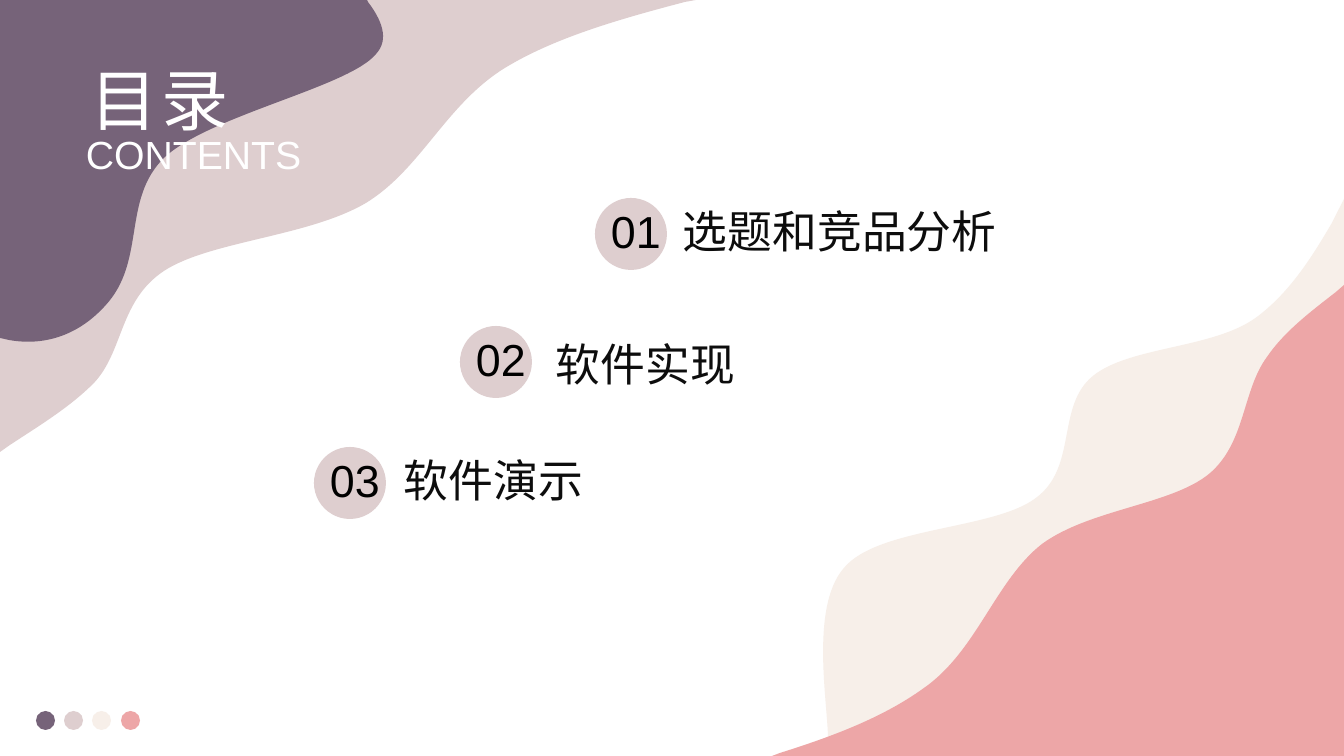
from lxml import etree
from pptx import Presentation
from pptx.dml.color import RGBColor
from pptx.enum.shapes import MSO_SHAPE
from pptx.enum.text import MSO_AUTO_SIZE, PP_ALIGN
from pptx.oxml.ns import qn
from pptx.util import Pt

OVAL = MSO_SHAPE.OVAL
GROW = MSO_AUTO_SIZE.SHAPE_TO_FIT_TEXT
JUSTIFY = PP_ALIGN.JUSTIFY
PX = 914400 / 100.8

HUES = {
    "plum": "766379",
    "mauve": "DECECF",
    "cream": "F7EFE9",
    "rose": "EDA6A7",
    "white": "FFFFFF",
    "ink": "0D0D0D",
    "black": "000000",
}

WAVES = [
    ("mauve", [
        (0, 0), (696, 0), (685, 2),
        (620, 19, 558, 37, 510, 65),
        (447, 101, 423, 168, 366, 203),
        (308, 237, 210, 241, 164, 271),
        (119, 301, 124, 351, 94, 383),
        (70, 407, 42, 424, 10, 445),
        (0, 452),
    ]),
    ("plum", [
        (0, 0), (367, 0), (368, 2),
        (381, 19, 390, 39, 376, 54),
        (349, 87, 211, 115, 165, 157),
        (121, 199, 147, 261, 105, 306),
        (73, 341, 36, 345, 9, 340),
        (0, 338),
    ]),
    ("cream", [
        (1344, 199), (1344, 756), (926, 756), (833, 753),
        (832, 756), (828, 756), (828, 754),
        (828, 752, 828, 749, 828, 745),
        (830, 714, 808, 609, 844, 568),
        (878, 527, 994, 530, 1036, 498),
        (1078, 467, 1056, 406, 1093, 376),
        (1130, 346, 1214, 349, 1257, 317),
        (1289, 293, 1311, 259, 1332, 223),
    ]),
    ("rose", [
        (1344, 756), (772, 756), (780, 753),
        (834, 736, 884, 717, 924, 688),
        (977, 651, 995, 581, 1042, 544),
        (1090, 509, 1171, 505, 1209, 474),
        (1246, 443, 1242, 391, 1267, 357),
        (1284, 332, 1309, 313, 1336, 292),
        (1344, 285),
    ]),
]

DOTS = ["plum", "mauve", "cream", "rose"]

ITEMS = [
    ("01", "选题和竞品分析", (595, 198), (673, 199)),
    ("02", "软件实现", (460, 326), (546, 332)),
    ("03", "软件演示", (314, 447), (394, 448)),
]


def emu(*nums):
    return [round(n * PX) for n in nums]


def paint(shape, hue):
    shape.shadow.inherit = False
    shape.fill.solid()
    shape.fill.fore_color.rgb = RGBColor.from_string(HUES[hue])
    shape.line.fill.background()


def add_wave(hue, nodes):
    ends = [node[-2:] for node in nodes]
    left = min(x for x, y in ends)
    top = min(y for x, y in ends)
    pen = shapes.build_freeform(*ends[0], scale=PX)
    pen.add_line_segments(ends[1:], close=True)
    shape = pen.convert_to_shape()
    paint(shape, hue)
    lines = list(shape.element.iter(qn("a:lnTo")))
    for line, node in zip(lines, nodes[1:]):
        if len(node) == 6:
            curve = etree.Element(qn("a:cubicBezTo"))
            for x, y in zip(node[::2], node[1::2]):
                etree.SubElement(curve, qn("a:pt"), x=str(x - left), y=str(y - top))
            line.getparent().replace(line, curve)


def add_oval(hue, x, y, size):
    paint(shapes.add_shape(OVAL, *emu(x, y, size, size)), hue)


def add_text(text, box, size, hue, wrap=True):
    frame = shapes.add_textbox(*emu(*box)).text_frame
    frame.word_wrap = wrap
    frame.auto_size = GROW
    para = frame.paragraphs[0]
    para.text = text
    para.font.name = "Arial"
    para.font.size = Pt(size)
    para.font.color.rgb = RGBColor.from_string(HUES[hue])
    return frame


deck = Presentation()
deck.slide_width, deck.slide_height = emu(1344, 756)
shapes = deck.slides.add_slide(deck.slide_layouts[6]).shapes

for hue, nodes in WAVES:
    add_wave(hue, nodes)

for i, hue in enumerate(DOTS):
    add_oval(hue, 36 + 85 * i // 3, 711, 19)

add_text("CONTENTS", (76, 125, 238, 57), 28, "white", False)
title = add_text("目录", (84, 54, 166, 89), 48, "white")
title.margin_left, title.margin_right = emu(7, 7)
title.margin_top, title.margin_bottom = emu(4, 4)
head = title.paragraphs[0]
head.alignment = JUSTIFY
head.runs[0].font._element.set("spc", "220")

for num, label, (x, y), spot in ITEMS:
    add_text(label, (*spot, 379, 65), 32, "ink")
    add_oval("mauve", x, y, 72)
    add_text(num, (x + 6, y + 1, 71, 65), 32, "black", False)

deck.save("out.pptx")
